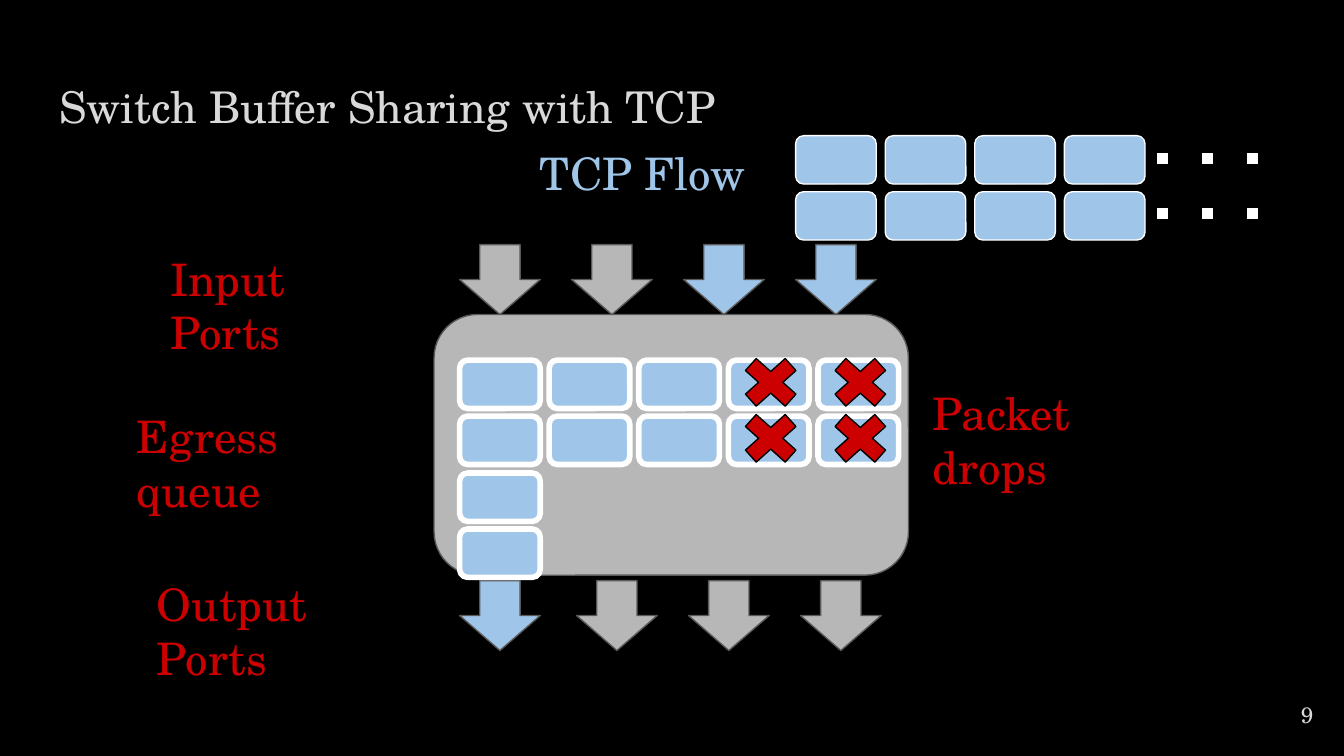
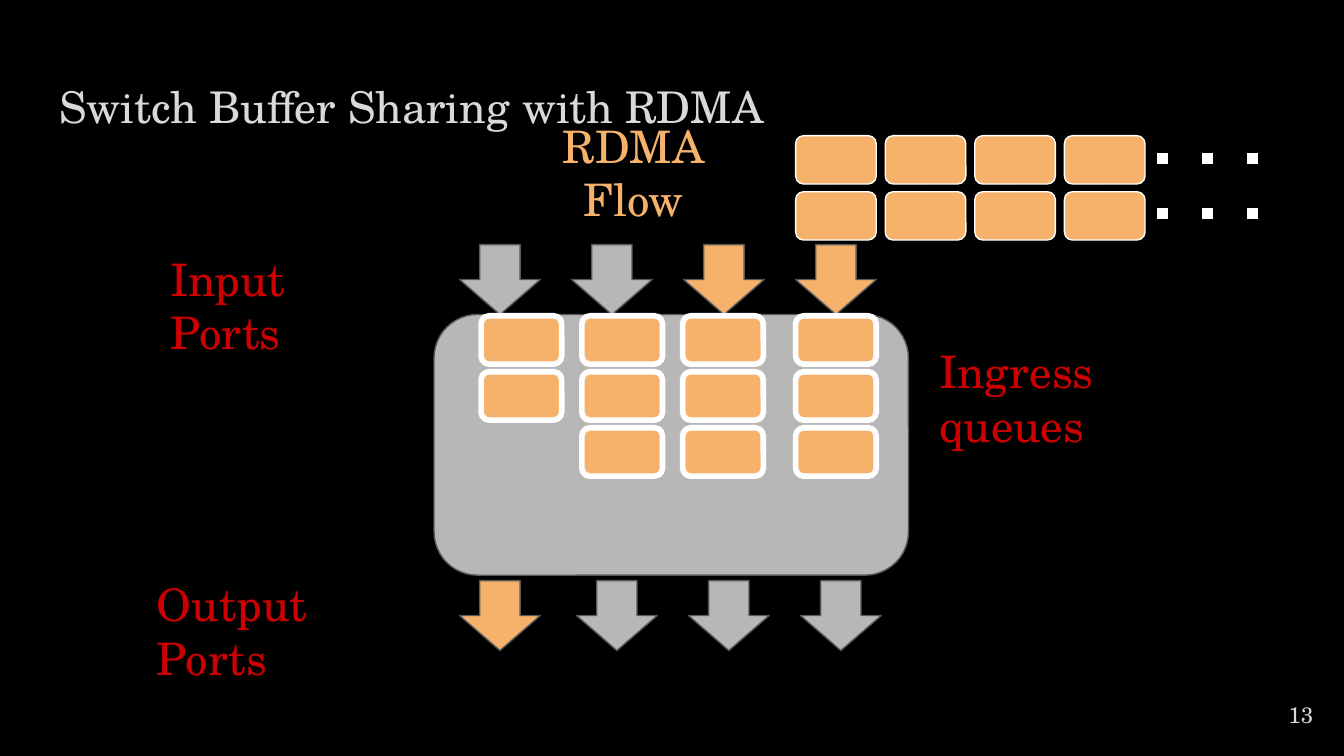
from lxml.etree import SubElement
from pptx import Presentation
from pptx.dml.color import RGBColor
from pptx.enum.shapes import MSO_CONNECTOR, MSO_SHAPE
from pptx.enum.text import MSO_ANCHOR, MSO_AUTO_SIZE, PP_ALIGN
from pptx.oxml.ns import qn
from pptx.util import Inches, Pt

BLACK = RGBColor(0x00, 0x00, 0x00)
WHITE = RGBColor(0xFF, 0xFF, 0xFF)
LIGHT_GRAY = RGBColor(0xD9, 0xD9, 0xD9)
SWITCH_GRAY = RGBColor(0xB7, 0xB7, 0xB7)
OUTLINE_GRAY = RGBColor(0x59, 0x59, 0x59)
RED = RGBColor(0xCC, 0x00, 0x00)
TCP_BLUE = RGBColor(0x9F, 0xC5, 0xE8)
RDMA_ORANGE = RGBColor(0xF6, 0xB2, 0x6B)

FONT = "TeX Gyre Schola"
TITLE_ONLY = 5
QUEUE_LEFT = 3.42
FLOW_LEFT = 5.92
PACKET_SIZE = (0.6, 0.36)
ARROW_SIZE = (0.6, 0.52)
CROSS_SIZE = (0.57, 0.51)
COLUMN_STEP = 2 / 3
ROW_STEP = 5 / 12
PORT_STEP = 5 / 6


def steps(start, step, count):
    return [start + step * index for index in range(count)]


class SwitchDeck:
    def __init__(self):
        self.deck = Presentation()
        self.deck.slide_width = Inches(10)
        self.deck.slide_height = Inches(5.625)
        background = self.deck.slide_master.background.fill
        background.solid()
        background.fore_color.rgb = BLACK
        self.page = None

    def set_text(self, box, text, color, size, align=PP_ALIGN.LEFT, anchor=MSO_ANCHOR.TOP):
        frame = box.text_frame
        frame_format = {"word_wrap": True, "auto_size": MSO_AUTO_SIZE.NONE, "vertical_anchor": anchor}
        for side in ("left", "right", "top", "bottom"):
            frame_format[f"margin_{side}"] = Inches(0.1)
        for name, value in frame_format.items():
            setattr(frame, name, value)
        para = frame.paragraphs[0]
        para.alignment = align
        span = para.add_run()
        span.text = text
        for name, value in {"name": FONT, "size": Pt(size)}.items():
            setattr(span.font, name, value)
        span.font.color.rgb = color

    def label(self, text, left, top, width, height=0.52, color=RED, size=24, **layout):
        box = self.page.shapes.add_textbox(Inches(left), Inches(top), Inches(width), Inches(height))
        self.set_text(box, text, color, size, **layout)

    def shape(self, kind, left, top, size, fill, line=OUTLINE_GRAY, weight=0.75):
        shape = self.page.shapes.add_shape(kind, Inches(left), Inches(top), *map(Inches, size))
        shape.shadow.inherit = False
        shape.fill.solid()
        shape.fill.fore_color.rgb = fill
        shape.line.color.rgb = line
        shape.line.width = Pt(weight)

    def packets(self, left, top, columns, rows, color, weight=3.0):
        for y in steps(top, ROW_STEP, rows):
            for x in steps(left, COLUMN_STEP, columns):
                self.shape(MSO_SHAPE.ROUNDED_RECTANGLE, x, y, PACKET_SIZE, color, WHITE, weight)

    def arrows(self, lefts, top, colors):
        for left, color in zip(lefts, colors):
            self.shape(MSO_SHAPE.DOWN_ARROW, left, top, ARROW_SIZE, color)

    def crosses(self, left, top, columns, rows):
        for y in steps(top, ROW_STEP, rows):
            for x in steps(left, COLUMN_STEP, columns):
                self.shape(MSO_SHAPE.MATH_MULTIPLY, x, y, CROSS_SIZE, RED, BLACK)

    def dots(self, top):
        dots = self.page.shapes.add_connector(
            MSO_CONNECTOR.STRAIGHT, Inches(8.61), Inches(top), Inches(9.45), Inches(top))
        dots.line.color.rgb = WHITE
        dots.line.width = Pt(6)
        properties = dots._element.spPr
        SubElement(properties.find(qn("a:ln")), qn("a:prstDash"), val="dot")
        SubElement(properties, qn("a:effectLst"))

    def switch_page(self, title, number, color):
        """Start a page with the switch, its ports and the incoming flow."""
        self.page = self.deck.slides.add_slide(self.deck.slide_layouts[TITLE_ONLY])
        heading = self.page.shapes.title
        position = {"left": 0.34, "top": 0.49, "width": 9.32, "height": 0.63}
        for name, value in position.items():
            setattr(heading, name, Inches(value))
        self.set_text(heading, title, LIGHT_GRAY, 23.4)
        self.label(number, 9.27, 5.1, 0.6, 0.43, LIGHT_GRAY, 12,
                   align=PP_ALIGN.RIGHT, anchor=MSO_ANCHOR.MIDDLE)

        self.shape(MSO_SHAPE.ROUNDED_RECTANGLE, 3.23, 2.34, (3.53, 1.94), SWITCH_GRAY)
        self.arrows(steps(QUEUE_LEFT, PORT_STEP, 4), 1.82, [SWITCH_GRAY] * 2 + [color] * 2)
        self.arrows([QUEUE_LEFT] + steps(4.29, PORT_STEP, 3), 4.32, [color] + [SWITCH_GRAY] * 3)
        self.label("Input Ports", 1.17, 1.77, 1.9)
        self.label("Output Ports", 1.07, 4.19, 2.1)
        self.packets(FLOW_LEFT, 1.01, 4, 2, color, weight=0.75)
        for top in (1.18, 1.59):
            self.dots(top)

    def flow_name(self, text, left, width, color):
        self.label(text, left, 1.02, width, color=color,
                   align=PP_ALIGN.CENTER, anchor=MSO_ANCHOR.MIDDLE)


def add_tcp_page(deck):
    deck.switch_page("Switch Buffer Sharing with TCP", "9", TCP_BLUE)
    deck.flow_name("TCP Flow", 3.83, 1.9, TCP_BLUE)
    deck.packets(QUEUE_LEFT, 2.68, 5, 2, TCP_BLUE)
    deck.packets(QUEUE_LEFT, 3.52, 1, 2, TCP_BLUE)
    deck.crosses(5.45, 2.59, 2, 2)
    deck.label("Egress queue", 0.92, 2.94, 2.15)
    deck.label("Packet drops", 6.84, 2.77, 2.1)


def add_rdma_page(deck):
    deck.switch_page("Switch Buffer Sharing with RDMA", "13", RDMA_ORANGE)
    deck.flow_name("RDMA Flow", 3.7, 2.03, RDMA_ORANGE)
    for left, depth in ((3.58, 2), (4.33, 3), (5.08, 3), (5.92, 3)):
        deck.packets(left, 2.35, 1, depth, RDMA_ORANGE)
    deck.label("Ingress queues", 6.89, 2.46, 2.43)


def main():
    switch_deck = SwitchDeck()
    add_tcp_page(switch_deck)
    add_rdma_page(switch_deck)
    switch_deck.deck.save("out.pptx")


if __name__ == "__main__":
    main()
